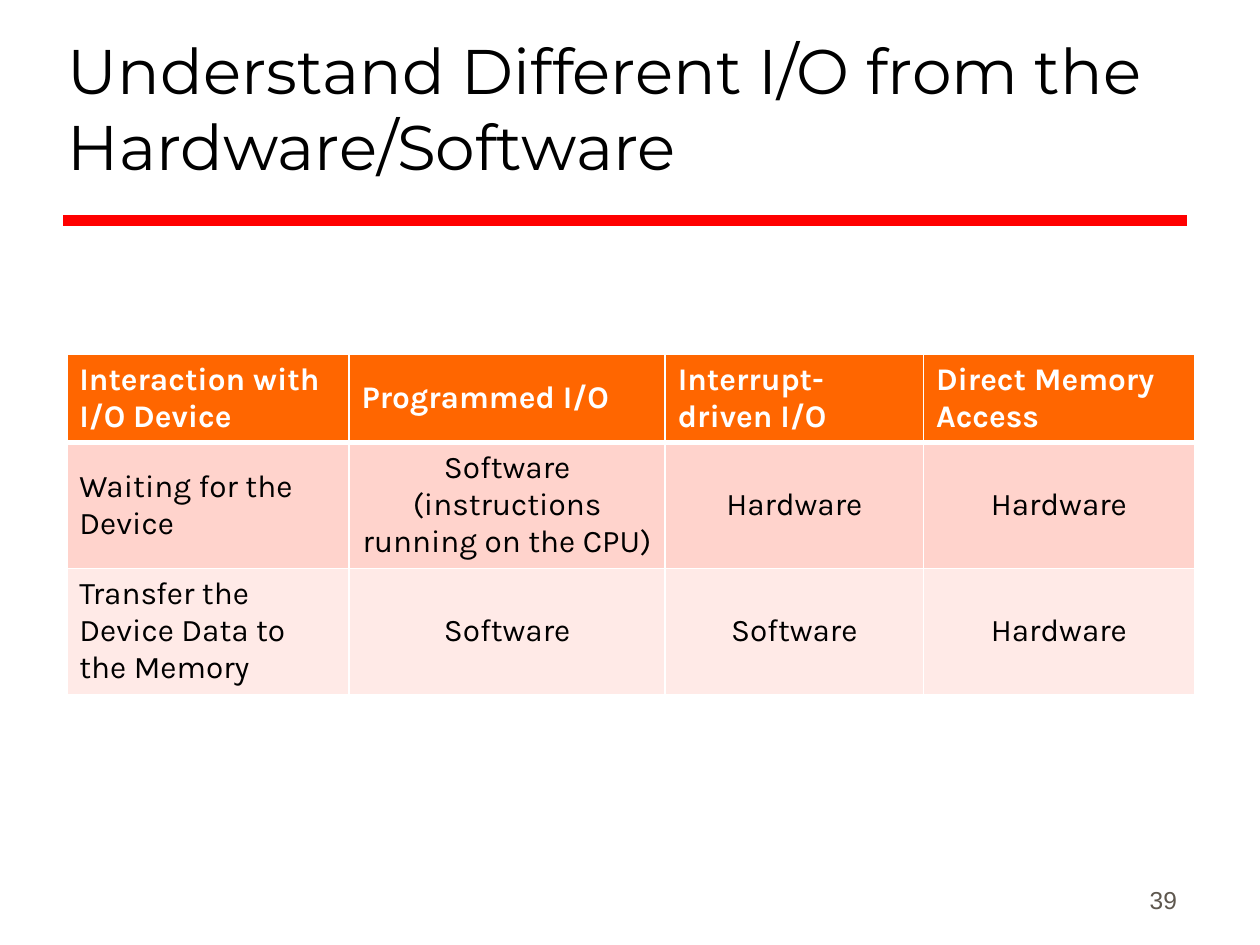
from dataclasses import dataclass

from lxml import etree
from pptx import Presentation
from pptx.dml.color import RGBColor
from pptx.enum.shapes import MSO_CONNECTOR
from pptx.enum.text import MSO_ANCHOR, PP_ALIGN
from pptx.oxml.ns import qn
from pptx.util import Inches, Pt

LEFT, MID, RIGHT = PP_ALIGN.LEFT, PP_ALIGN.CENTER, PP_ALIGN.RIGHT
CENTER, BOTTOM = MSO_ANCHOR.MIDDLE, MSO_ANCHOR.BOTTOM
STRAIGHT = MSO_CONNECTOR.STRAIGHT


@dataclass(frozen=True)
class Theme:
    white: str = "FFFFFF"
    black: str = "000000"
    red: str = "FF0000"
    orange: str = "FF6600"
    rose: str = "FFD3CC"
    blush: str = "FFEAE7"
    gray: str = "5E574E"
    head: str = "Montserrat"
    body: str = "Karla"
    foot: str = "Arial"
    big: int = 36
    text: int = 18
    small: int = 14


@dataclass(frozen=True)
class Row:
    cells: tuple[str, ...]
    height: float
    fill: str
    header: bool = False


THEME = Theme()
COLS = (2.24, 2.51, 2.05, 2.15)
ROWS = (
    Row(("Interaction with I/O Device", "Programmed I/O",
         "Interrupt-driven I/O", "Direct Memory Access"),
        0.68, THEME.orange, True),
    Row(("Waiting for the Device", "Software (instructions running on the CPU)",
         "Hardware", "Hardware"), 0.98, THEME.rose),
    Row(("Transfer the Device Data to the Memory", "Software",
         "Software", "Hardware"), 0.98, THEME.blush),
)


def write(frame, text: str, *, font: str, size: int, color: str,
          bold: bool = False, align=LEFT) -> None:
    frame.word_wrap = True
    para = frame.paragraphs[0]
    para.alignment = align
    run = para.add_run()
    run.text = text
    run.font.name = font
    run.font.size = Pt(size)
    run.font.bold = bold
    run.font.color.rgb = RGBColor.from_string(color)


def label(slide, box: tuple[float, ...], text: str, **style) -> None:
    frame = slide.shapes.add_textbox(*map(Inches, box)).text_frame
    frame.vertical_anchor = BOTTOM
    write(frame, text, **style)


def rule(slide) -> None:
    line = slide.shapes.add_connector(
        STRAIGHT, Inches(0.5), Inches(1.75), Inches(9.42), Inches(1.75))
    line.line.color.rgb = RGBColor.from_string(THEME.red)
    line.line.width = Pt(6)
    etree.SubElement(line._element.spPr, qn("a:effectLst"))


def border(cell, widths: dict[str, int]) -> None:
    props = cell._tc.get_or_add_tcPr()
    for spot, (side, width) in enumerate(widths.items()):
        edge = etree.Element(qn(f"a:ln{side}"), w=str(Pt(width)))
        fill = etree.SubElement(edge, qn("a:solidFill"))
        etree.SubElement(fill, qn("a:srgbClr"), val=THEME.white)
        props.insert(spot, edge)


def grid(slide) -> None:
    high = sum(row.height for row in ROWS)
    table = slide.shapes.add_table(
        len(ROWS), len(COLS), Inches(0.53), Inches(2.81),
        Inches(sum(COLS)), Inches(high)).table
    for col, width in zip(table.columns, COLS):
        col.width = Inches(width)
    for r, row in enumerate(ROWS):
        table.rows[r].height = Inches(row.height)
        for c, text in enumerate(row.cells):
            cell = table.cell(r, c)
            cell.vertical_anchor = CENTER
            cell.fill.solid()
            cell.fill.fore_color.rgb = RGBColor.from_string(row.fill)
            border(cell, {"L": 1, "R": 1, "T": 3 if r == 1 else 1,
                          "B": 3 if row.header else 1})
            write(cell.text_frame, text, font=THEME.body, size=THEME.text,
                  color=THEME.white if row.header else THEME.black,
                  bold=row.header, align=LEFT if row.header or c == 0 else MID)


def main() -> None:
    deck = Presentation()
    deck.slide_width, deck.slide_height = Inches(10), Inches(7.5)
    slide = deck.slides.add_slide(deck.slide_layouts[6])
    rule(slide)
    label(slide, (0.44, 0.25, 8.97, 1.25),
          "Understand Different I/O from the Hardware/Software",
          font=THEME.head, size=THEME.big, color=THEME.black)
    grid(slide)
    label(slide, (7.36, 6.81, 2.08, 0.5), "39", font=THEME.foot,
          size=THEME.small, color=THEME.gray, align=RIGHT)
    deck.save("out.pptx")


main()
